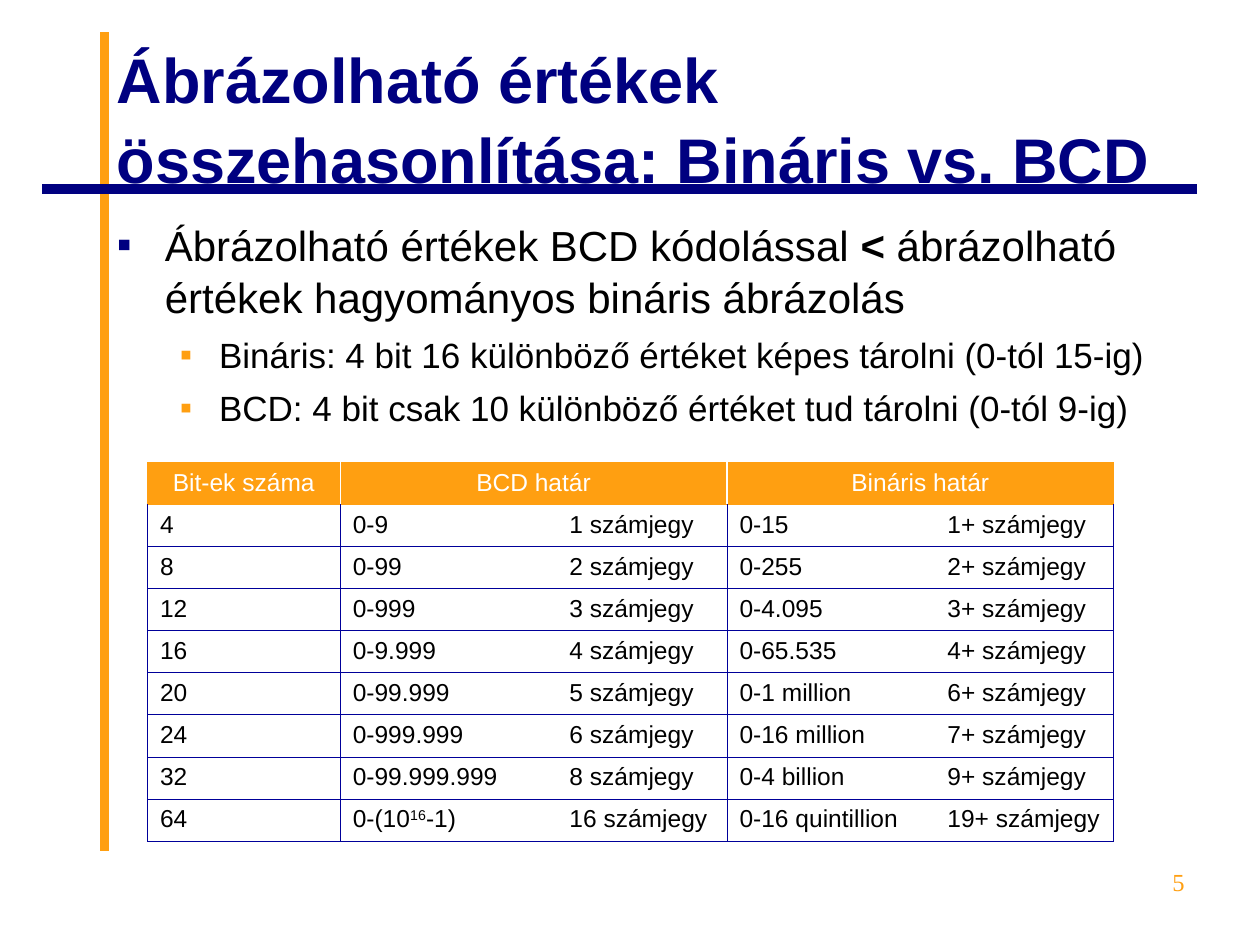
from lxml.etree import SubElement
from pptx import Presentation
from pptx.dml.color import RGBColor
from pptx.enum.shapes import MSO_CONNECTOR
from pptx.enum.text import MSO_ANCHOR, PP_ALIGN
from pptx.oxml.ns import qn
from pptx.util import Inches, Pt

COLORS = {
    "navy": "000080",
    "orange": "FF9F11",
    "grid": "000099",
    "white": "FFFFFF",
    "black": "000000",
}

# Each bullet: level, spans as (text, bold)
BULLETS = [
    (0, [("Ábrázolható értékek BCD kódolással ", False), ("<", True),
         (" ábrázolható értékek hagyományos bináris ábrázolás", False)]),
    (1, [("Bináris: 4 bit 16 különböző értéket képes tárolni (0-tól 15-ig)", False)]),
    (1, [("BCD: 4 bit csak 10 különböző értéket tud tárolni (0-tól 9-ig)", False)]),
]

# Each level: size, left margin, hanging indent, space before, bullet colour
LEVELS = [(24, 0.38, 0.38, 6, "navy"), (20, 0.81, 0.31, 5, "orange")]

# Header: first column, title, number of columns
HEADERS = [(0, "Bit-ek száma", 1), (1, "BCD határ", 2), (3, "Bináris határ", 2)]
COLUMN_WIDTHS = [1.53, 1.72, 1.35, 1.65, 1.42]
ROW_HEIGHT = 0.33

# Text between ^ marks is raised
LIMITS = [
    ("4", "0-9", "1", "0-15", "1+"),
    ("8", "0-99", "2", "0-255", "2+"),
    ("12", "0-999", "3", "0-4.095", "3+"),
    ("16", "0-9.999", "4", "0-65.535", "4+"),
    ("20", "0-99.999", "5", "0-1 million", "6+"),
    ("24", "0-999.999", "6", "0-16 million", "7+"),
    ("32", "0-99.999.999", "8", "0-4 billion", "9+"),
    ("64", "0-(10^16^-1)", "16", "0-16 quintillion", "19+"),
]
DIGIT_COLUMNS = (2, 4)


def color(name):
    return RGBColor.from_string(COLORS[name])


class SlideBuilder:
    font = "Arial"
    line_spacing = 1.05

    def __init__(self, page):
        self.page = page

    def style(self, paragraph, size, color_name, font=None, bold=None):
        paragraph.font.name = font or self.font
        paragraph.font.size = Pt(size)
        paragraph.font.color.rgb = color(color_name)
        paragraph.font.bold = bold

    def line(self, start, end, color_name, width):
        connector = self.page.shapes.add_connector(
            MSO_CONNECTOR.STRAIGHT, *map(Inches, start + end))
        connector.line.color.rgb = color(color_name)
        connector.line.width = Pt(width)
        SubElement(connector._element.spPr, qn("a:effectLst"))

    def frame(self, left, top, width, height):
        box = self.page.shapes.add_textbox(*map(Inches, (left, top, width, height)))
        box.text_frame.word_wrap = True
        return box.text_frame

    def title(self, place, text):
        frame = self.frame(*place)
        frame.vertical_anchor = MSO_ANCHOR.MIDDLE
        paragraph = frame.paragraphs[0]
        paragraph.text = text
        paragraph.line_spacing = self.line_spacing
        self.style(paragraph, 36, "navy", bold=True)

    def bullets(self, place, items):
        frame = self.frame(*place)
        for index, (level, spans) in enumerate(items):
            paragraph = frame.add_paragraph() if index else frame.paragraphs[0]
            size, margin, hanging, space, bullet_color = LEVELS[level]
            paragraph.level = level
            paragraph.line_spacing = self.line_spacing
            if index:
                paragraph.space_before = Pt(space)
            self.bullet(paragraph, margin, hanging, bullet_color)
            self.style(paragraph, size, "black")
            for text, bold in spans:
                span = paragraph.add_run()
                span.text = text
                span.font.bold = bold

    def bullet(self, paragraph, margin, hanging, color_name):
        properties = paragraph._p.get_or_add_pPr()
        properties.set("marL", str(Inches(margin)))
        properties.set("indent", str(-Inches(hanging)))
        tint = SubElement(properties, qn("a:buClr"))
        SubElement(tint, qn("a:srgbClr"), val=COLORS[color_name])
        SubElement(properties, qn("a:buFont"), typeface=self.font)
        SubElement(properties, qn("a:buChar"), char="▪")

    def borders(self, cell, edges):
        """Draw left, right, top and bottom edges; None hides an edge."""
        properties = cell._tc.get_or_add_tcPr()
        for position, (side, name) in enumerate(zip("LRTB", edges)):
            width = Pt(0.75 if name == "white" else 0.45)
            edge = properties.makeelement(qn(f"a:ln{side}"), {"w": str(width)})
            properties.insert(position, edge)
            if name:
                fill = SubElement(edge, qn("a:solidFill"))
                SubElement(fill, qn("a:srgbClr"), val=COLORS[name])
            else:
                SubElement(edge, qn("a:noFill"))

    def cell_text(self, cell, text, color_name):
        paragraph = cell.text_frame.paragraphs[0]
        self.style(paragraph, 14, color_name)
        for index, part in enumerate(text.split("^")):
            span = paragraph.add_run()
            span.text = part
            if index % 2:
                span._r.get_or_add_rPr().set("baseline", "30000")

    def table(self, left, top, rows):
        last = len(COLUMN_WIDTHS) - 1
        height = ROW_HEIGHT * (len(rows) + 1)
        table = self.page.shapes.add_table(
            len(rows) + 1, last + 1, Inches(left), Inches(top),
            Inches(sum(COLUMN_WIDTHS)), Inches(height)).table
        table.horz_banding = False
        for column, width in zip(table.columns, COLUMN_WIDTHS):
            column.width = Inches(width)
        for row in table.rows:
            row.height = Inches(ROW_HEIGHT)

        for first, text, count in HEADERS:
            end = first + count - 1
            for column in range(first, end + 1):
                cell = table.cell(0, column)
                cell.fill.solid()
                cell.fill.fore_color.rgb = color("orange")
                self.borders(cell, ("white" if first else "orange",
                                    "orange" if end == last else "white",
                                    "orange", "orange"))
            cell = table.cell(0, first)
            if count > 1:
                cell.merge(table.cell(0, end))
            self.cell_text(cell, text, "white")
            cell.text_frame.paragraphs[0].alignment = PP_ALIGN.CENTER

        for row, values in enumerate(rows, 1):
            for column, value in enumerate(values):
                cell = table.cell(row, column)
                cell.fill.background()
                is_digits = column in DIGIT_COLUMNS
                self.borders(cell, (None if is_digits else "grid",
                                    None if column + 1 in DIGIT_COLUMNS else "grid",
                                    "orange" if row == 1 else "grid", "grid"))
                self.cell_text(cell, f"{value} számjegy" if is_digits else value, "black")

    def page_number(self, place, text):
        paragraph = self.frame(*place).paragraphs[0]
        paragraph.text = text
        paragraph.alignment = PP_ALIGN.RIGHT
        self.style(paragraph, 14, "orange", font="Times New Roman")


def main():
    deck = Presentation()
    deck.slide_width, deck.slide_height = Inches(10), Inches(7.5)
    builder = SlideBuilder(deck.slides.add_slide(deck.slide_layouts[6]))
    builder.line((0.83, 6.75), (0.83, 0.25), "orange", 5.5)
    builder.line((9.5, 1.5), (0.33, 1.5), "navy", 5.5)
    builder.title((0.83, 0.3, 8.67, 1.25),
                  "Ábrázolható értékek összehasonlítása: Bináris vs. BCD")
    builder.bullets((0.83, 1.67, 8.92, 1.83), BULLETS)
    builder.table(1.17, 3.67, LIMITS)
    builder.page_number((7.17, 6.83, 2.33, 0.52), "5")
    deck.save("out.pptx")


if __name__ == "__main__":
    main()
